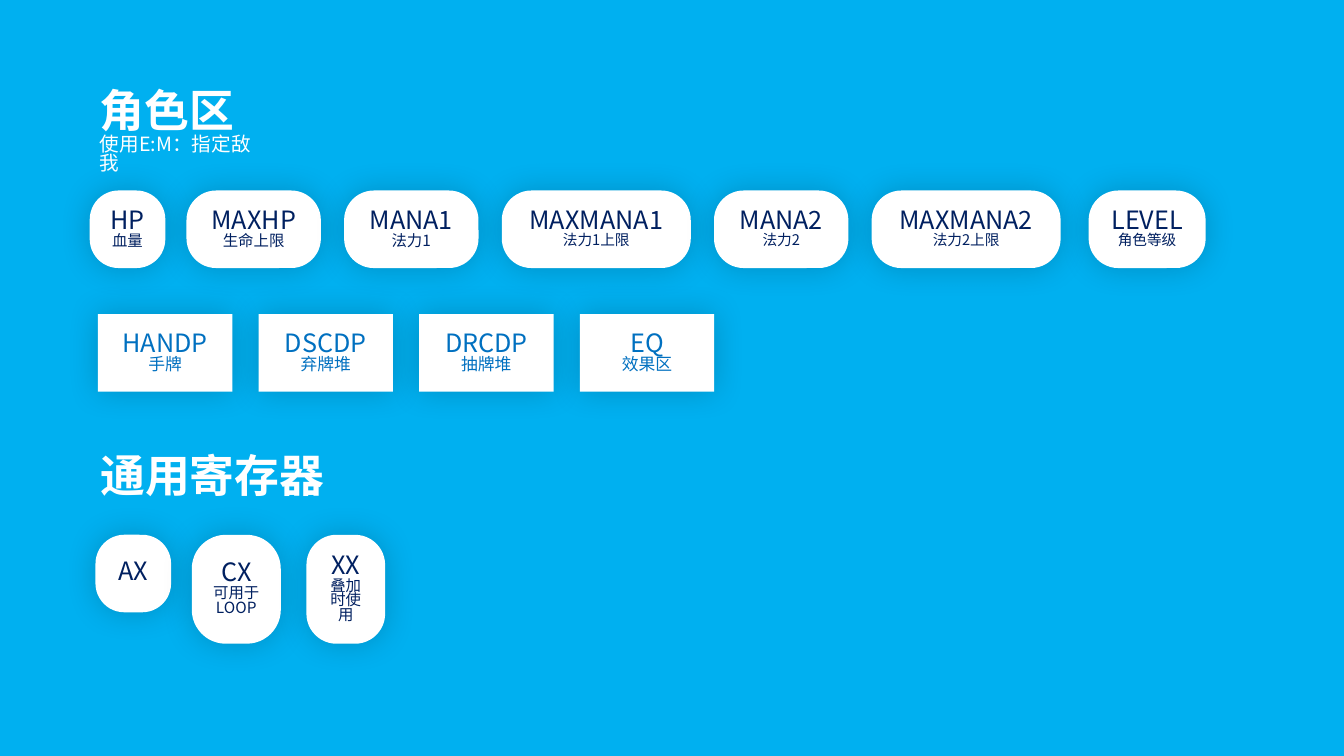
import pptx
import pptx.util
import pptx.oxml
import pptx.dml.color
import pptx.enum.text
import pptx.enum.shapes
from dataclasses import dataclass

Pt = pptx.util.Pt
RGB = pptx.dml.color.RGBColor.from_string
ALIGN = pptx.enum.text.PP_ALIGN
ANCHOR = pptx.enum.text.MSO_ANCHOR
ROUND = pptx.enum.shapes.MSO_SHAPE.ROUNDED_RECTANGLE

ROLE = ("角色区", "使用E:M：指定敌我")
COMMON = "通用寄存器"
STATS = [
    ("HP", "血量", 64.1, 54, 11),
    ("MAXHP", "生命上限", 133.2, 96, 11),
    ("MANA1", "法力1", 245.8, 96, 11),
    ("MAXMANA1", "法力1上限", 358.4, 135, 10.5),
    ("MANA2", "法力2", 510, 96, 10.5),
    ("MAXMANA2", "法力2上限", 622.6, 135, 10.5),
    ("LEVEL", "角色等级", 777.6, 83.6, 10.5),
]
PILES = [("HANDP", "手牌"), ("DSCDP", "弃牌堆"), ("DRCDP", "抽牌堆"), ("EQ", "效果区")]
REGS = [
    ("AX", "", 68.2, 54, 55.4),
    ("CX", "可用于LOOP", 137, 63.6, 77.8),
    ("XX", "叠加时使用", 218.9, 56.2, 77.8),
]


@dataclass(frozen=True)
class Theme:
    sky: str = "00B0F0"
    white: str = "FFFFFF"
    navy: str = "002060"
    blue: str = "0070C0"
    sans: str = "Noto Sans CJK SC"
    bold: str = "Noto Sans CJK JP"
    head: float = 32
    hint: float = 14
    name: float = 18
    pile: float = 12
    note: float = 11
    lead: float = 0.81


T = Theme()
NS = 'xmlns:a="http://schemas.openxmlformats.org/drawingml/2006/main"'
SHADE = (f'<a:effectLst {NS}><a:outerShdw blurRad="292100" dist="0" dir="8100000" '
         'algn="tr" rotWithShape="0"><a:srgbClr val="000000"><a:alpha val="19000"/>'
         '</a:srgbClr></a:outerShdw></a:effectLst>')


def write(para, text, *, size, color, font=T.sans, bold=False, align=ALIGN.CENTER):
    para.alignment = align
    para.line_spacing = T.lead
    para.space_before = para.space_after = Pt(0)
    run = para.add_run()
    run.text = text
    run.font.size = Pt(size)
    run.font.bold = bold
    run.font.name = font
    run.font.color.rgb = RGB(color)
    east = pptx.oxml.parse_xml(f'<a:ea {NS} typeface="{font}"/>')
    run.font._element.find(pptx.oxml.ns.qn("a:latin")).addnext(east)


def head(box, lines):
    frame = box.text_frame
    frame.word_wrap = True
    frame.auto_size = pptx.enum.text.MSO_AUTO_SIZE.NONE
    frame.vertical_anchor = ANCHOR.TOP
    frame.margin_left = frame.margin_right = Pt(7.2)
    frame.margin_top = Pt(7.6)
    write(frame.paragraphs[0], lines[0], size=T.head, color=T.white,
          font=T.bold, bold=True, align=ALIGN.LEFT)
    for line in lines[1:]:
        write(frame.add_paragraph(), line, size=T.hint, color=T.white,
              font=T.bold, align=ALIGN.LEFT)


def card(slide, name, note, left, top, wide, high=55.4, *,
         curve=0.382, color=T.navy, size=T.note):
    box = slide.shapes.add_shape(ROUND, Pt(left), Pt(top), Pt(wide), Pt(high))
    box.adjustments[0] = curve
    box.fill.solid()
    box.fill.fore_color.rgb = RGB(T.white)
    box.line.fill.background()
    box._element.spPr.append(pptx.oxml.parse_xml(SHADE))
    frame = box.text_frame
    frame.word_wrap = True
    frame.vertical_anchor = ANCHOR.MIDDLE
    write(frame.paragraphs[0], name, size=T.name, color=color)
    if note:
        write(frame.add_paragraph(), note, size=size, color=color)


def main():
    deck = pptx.Presentation()
    deck.slide_width, deck.slide_height = Pt(960), Pt(540)
    slide = deck.slides.add_slide(deck.slide_layouts[5])
    slide.background.fill.solid()
    slide.background.fill.fore_color.rgb = RGB(T.sky)

    title = slide.shapes.title
    title.left, title.top, title.width, title.height = Pt(64.1), Pt(58.3), Pt(136), Pt(63.4)
    head(title, ROLE)
    head(slide.shapes.add_textbox(Pt(64.6), Pt(319), Pt(176.6), Pt(63.4)), [COMMON])

    for name, note, left, wide, size in STATS:
        card(slide, name, note, left, 136.1, wide, size=size)
    for i, (name, note) in enumerate(PILES):
        card(slide, name, note, 69.9 + i * 114.75, 224.4, 96,
             curve=0, color=T.blue, size=T.pile)
    for name, note, left, wide, high in REGS:
        card(slide, name, note, left, 382, wide, high)

    deck.save("out.pptx")


if __name__ == "__main__":
    main()
